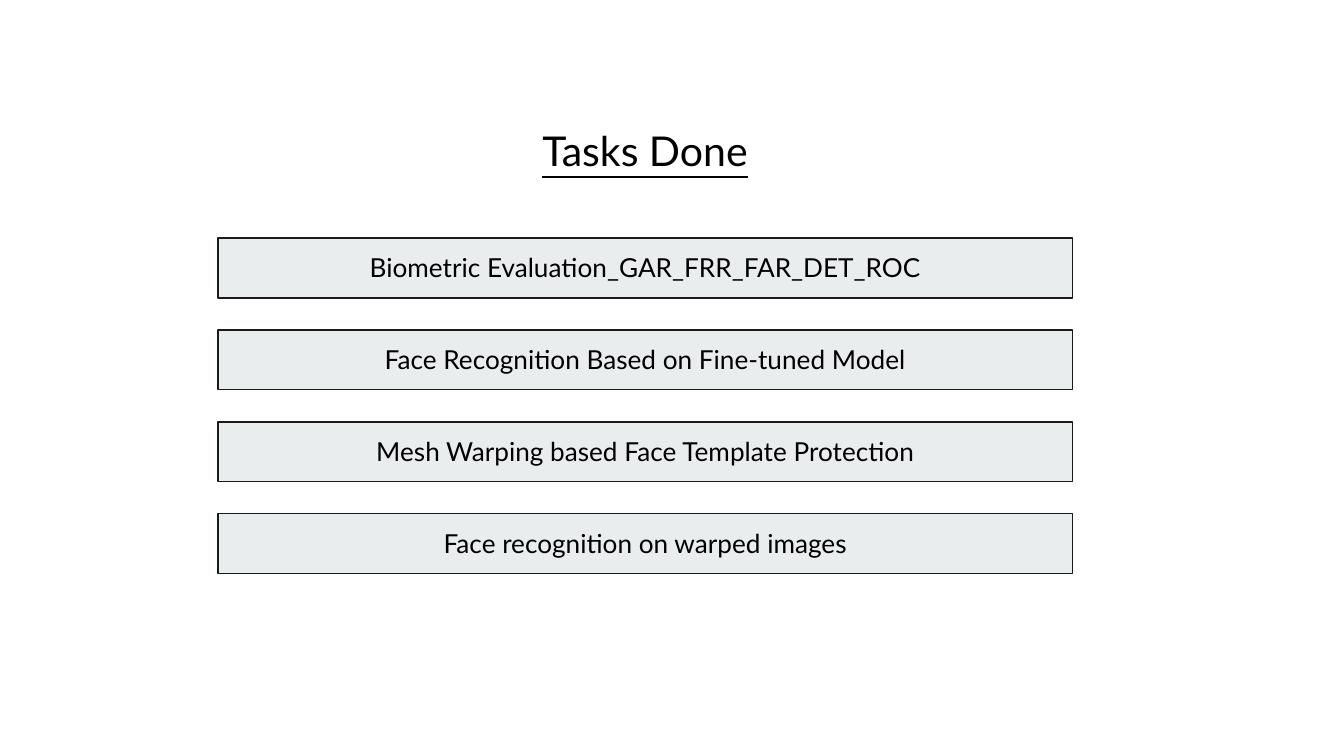
from pptx import Presentation
from pptx.dml.color import RGBColor as Rgb
from pptx.enum.shapes import MSO_SHAPE as Kind
from pptx.enum.text import MSO_ANCHOR as Anchor, MSO_AUTO_SIZE as Fit, PP_ALIGN as Align
from pptx.util import Pt

HUES = {"ink": "000000", "edge": "1A1A1A", "bar": "E9EDEE"}
TASKS = [
    "Biometric Evaluation_GAR_FRR_FAR_DET_ROC",
    "Face Recognition Based on Fine-tuned Model",
    "Mesh Warping based Face Template Protection",
    "Face recognition on warped images",
]
LEFT, TOP, WIDE, HIGH, STEP = 116.7, 127.6, 458, 32, 49.2


def hue(name):
    return Rgb.from_string(HUES[name])


def apply(item, style):
    for key, value in style.items():
        setattr(item, key, value)


def write(shape, text, size, line=False, fit=Fit.NONE):
    frame = shape.text_frame
    pad = Pt(7.2)
    apply(frame, {
        "word_wrap": True, "auto_size": fit, "vertical_anchor": Anchor.TOP,
        "margin_left": pad, "margin_right": pad,
        "margin_top": pad, "margin_bottom": pad,
    })
    para = frame.paragraphs[0]
    para.alignment = Align.CENTER
    run = para.add_run()
    run.text = text
    apply(run.font, {"name": "Lato", "size": Pt(size), "underline": line})
    run.font.color.rgb = hue("ink")


def add_title(slide, text):
    box = slide.shapes.add_textbox(Pt(231.8), Pt(59.8), Pt(227.5), Pt(41))
    write(box, text, 22, line=True, fit=Fit.SHAPE_TO_FIT_TEXT)


def add_bar(slide, text, top):
    bar = slide.shapes.add_shape(Kind.RECTANGLE, Pt(LEFT), Pt(top), Pt(WIDE), Pt(HIGH))
    bar.shadow.inherit = False
    bar.fill.solid()
    bar.fill.fore_color.rgb = hue("bar")
    bar.line.color.rgb = hue("edge")
    bar.line.width = Pt(0.75)
    write(bar, text, 14)


def main():
    deck = Presentation()
    apply(deck, {"slide_width": Pt(720), "slide_height": Pt(405)})
    slide = deck.slides.add_slide(deck.slide_layouts[6])
    add_title(slide, "Tasks Done")
    for row, task in enumerate(TASKS):
        add_bar(slide, task, TOP + row * STEP)
    deck.save("out.pptx")


if __name__ == "__main__":
    main()
